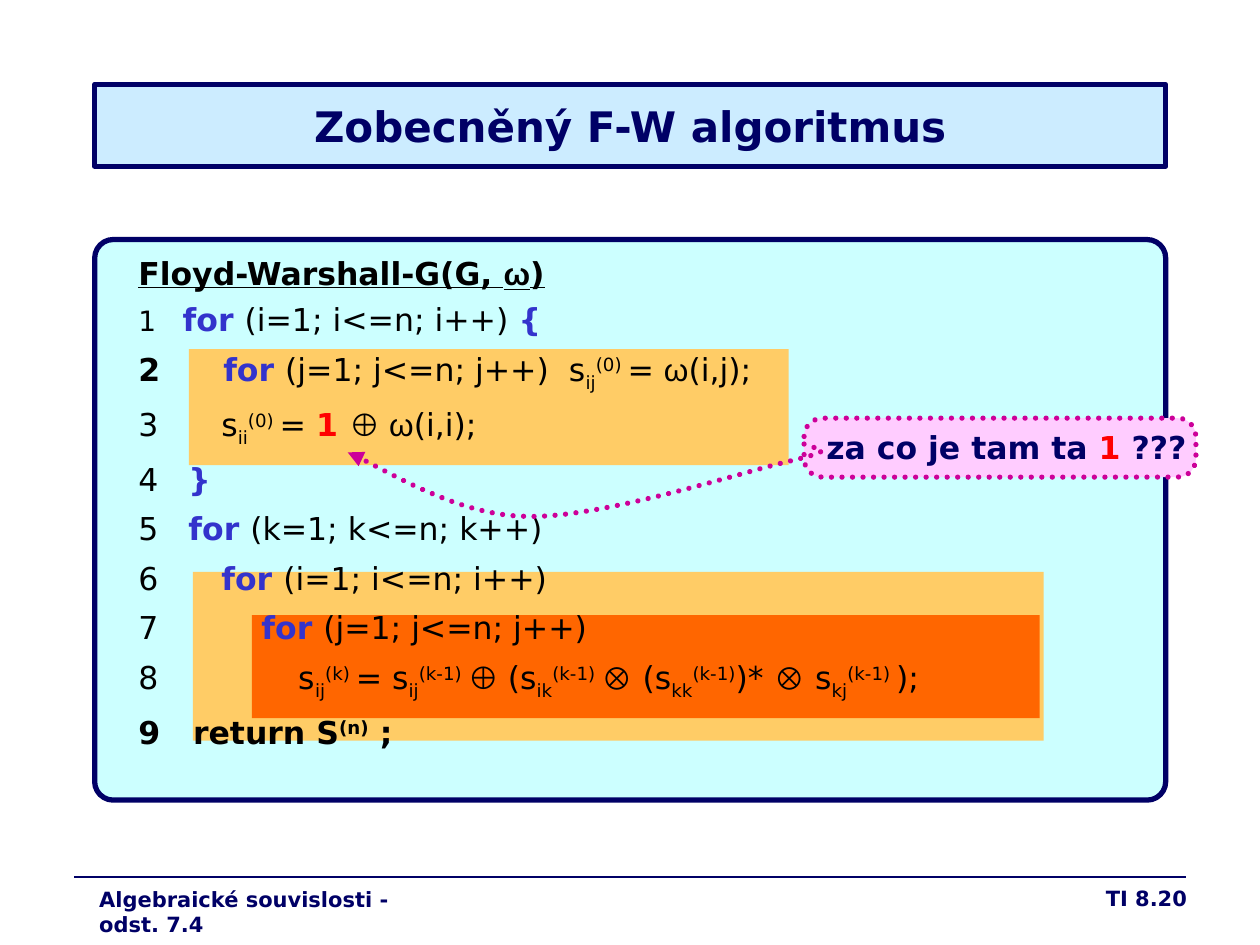
import pptx
import pptx.dml.color
import pptx.enum.dml
import pptx.enum.shapes
import pptx.enum.text
import pptx.oxml
import pptx.oxml.ns
import pptx.util

Cm = pptx.util.Cm
Pt = pptx.util.Pt
SHAPES = pptx.enum.shapes.MSO_SHAPE
ALIGN = pptx.enum.text.PP_ALIGN

FONT = "DejaVu Sans"
SYMBOL_FONT = "Arial"
COLORS = {
    "navy": "000066", "black": "000000", "keyword": "3333CC", "red": "FF0000",
    "title": "CCECFF", "panel": "CCFFFF", "loop": "FFCC66",
    "inner loop": "FF6600", "callout": "FFCCFF", "pink": "CC0099",
}

# Style letters: b bold, u underlined, k keyword, r red, a symbol font,
# s smaller, - subscript, + superscript
HEADING = [("Floyd-Warshall-G(G, ", "bu"), ("ω", "bua"), (")", "bu")]
CODE = [
    [("1   ", "s"), ("for ", "k"), ("(i=1; i<=n; i++) ", ""), ("{", "k")],
    [("  ", "b"), ("for ", "k"), ("(j=1; j<=n; j++)  s", ""), ("ij", "-"),
     ("(0) ", "+"), ("= ", ""), ("ω", "a"), ("(i,j);", "")],
    [("  s", ""), ("ii", "-"), ("(0) ", "+"), ("= ", ""), ("1 ", "r"),
     ("⊕ ", "ba"), ("ω", "a"), ("(i,i);", "")],
    [("4   ", ""), ("}", "k")],
    [("5   ", ""), ("for ", "k"), ("(k=1; k<=n; k++)", "")],
    [("6\t  ", ""), ("for ", "k"), ("(i=1; i<=n; i++)", "")],
    [("7\t      ", ""), ("for ", "k"), ("(j=1; j<=n; j++)", "")],
    [("8              s", ""), ("ij", "-"), ("(k) ", "+"), ("= s", ""),
     ("ij", "-"), ("(k-1) ", "+"), ("⊕ ", "ba"), ("(s", ""), ("ik", "-"),
     ("(k-1) ", "+"), ("⊗", "ba"), (" (s", ""), ("kk", "-"), ("(k-1)", "+"),
     (")* ", ""), ("⊗", "ba"), (" s", ""), ("kj", "-"), ("(k-1) ", "+"),
     (");", "")],
    [("9   return S", "b"), ("(n)", "b+"), (" ;", "b")],
]
AUTO_NUMBERED = (2, 3)

# Callout arrow: start point, then control, control and end of each curve (cm)
ARROW_START = (16.41, 9.02)
ARROW_CURVES = [
    ((16.61, 9.07), (16.79, 9.09), (15.82, 9.32)),
    ((14.86, 9.55), (12.07, 10.46), (10.59, 10.41)),
    ((9.12, 10.39), (7.59, 9.35), (7.01, 9.12)),
]


def rgb(name):
    return pptx.dml.color.RGBColor.from_string(COLORS[name])


def add_xml(parent, tag, **attributes):
    element = pptx.oxml.parse_xml(f"<a:{tag} {pptx.oxml.ns.nsdecls('a')}/>")
    for key, value in attributes.items():
        element.set(key, str(value))
    parent.append(element)
    return element


def style_line(shape, color, width=3, dotted=False):
    shape.line.color.rgb = rgb(color)
    shape.line.width = Pt(width)
    if dotted:
        shape.line.dash_style = pptx.enum.dml.MSO_LINE.ROUND_DOT
        shape.line._get_or_add_ln().set("cap", "rnd")


def style_span(span, size, color="navy", bold=True, font=FONT):
    span.font.name = font
    span.font.size = Pt(size)
    span.font.bold = bold
    span.font.color.rgb = rgb(color)


def place(shape, left, top, width, height):
    shape.left, shape.top = Cm(left), Cm(top)
    shape.width, shape.height = Cm(width), Cm(height)


def add_block(page, kind, bounds, fill, line=None, corner=None, dotted=False):
    block = page.shapes.add_shape(kind, *map(Cm, bounds))
    block.shadow.inherit = False
    block.fill.solid()
    block.fill.fore_color.rgb = rgb(fill)
    if corner is not None:
        block.adjustments[0] = corner
    if line:
        style_line(block, line, dotted=dotted)
    else:
        block.line.fill.background()


def add_text(page, bounds, spans, size, align=ALIGN.LEFT):
    box = page.shapes.add_textbox(*map(Cm, bounds))
    box.text_frame.word_wrap = True
    para = box.text_frame.paragraphs[0]
    para.alignment = align
    for text, color in spans:
        span = para.add_run()
        span.text = text
        style_span(span, size, color)


def format_title(page):
    title = page.shapes.title
    place(title, 1.91, 1.7, 21.59, 1.65)
    title.fill.solid()
    title.fill.fore_color.rgb = rgb("title")
    style_line(title, "navy")
    frame = title.text_frame
    frame.text = "Zobecněný F-W algoritmus"
    frame.vertical_anchor = pptx.enum.text.MSO_ANCHOR.MIDDLE
    frame.paragraphs[0].alignment = ALIGN.CENTER
    style_span(frame.paragraphs[0].runs[0], 24)


def write_code_line(para, spans, space_before=None, number=None):
    para.line_spacing = 1.1
    if space_before:
        para.space_before = Pt(space_before)
    properties = para._p.get_or_add_pPr()
    properties.set("marL", str(Cm(1.27)))
    properties.set("indent", str(-Cm(1.27)))
    if number:
        bullet_color = add_xml(properties, "buClr")
        add_xml(bullet_color, "srgbClr", val=COLORS["black"])
        add_xml(properties, "buAutoNum", type="arabicPlain", startAt=number)
    for text, style in spans:
        span = para.add_run()
        span.text = text
        color = {"k": "keyword", "r": "red"}.get(style, "black")
        style_span(span, 16 if "s" in style else 18, color,
                   bold=any(letter in style for letter in "bkr"),
                   font=SYMBOL_FONT if "a" in style else FONT)
        span.font.underline = "u" in style
        for letter, baseline in (("-", -25000), ("+", 30000)):
            if letter in style:
                span._r.get_or_add_rPr().set("baseline", str(baseline))


def add_code(page):
    box = page.shapes.add_textbox(Cm(2.54), Cm(4.93), Cm(20.96), Cm(10.9))
    frame = box.text_frame
    frame.word_wrap = True
    write_code_line(frame.paragraphs[0], HEADING)
    for number, spans in enumerate(CODE, start=1):
        write_code_line(frame.add_paragraph(), spans,
                        2.2 if number == 1 else 4.5,
                        number if number in AUTO_NUMBERED else None)


def curve_points(start, curves, steps=24):
    for first, second, end in curves:
        for step in range(1, steps + 1):
            t = step / steps
            weights = ((1 - t) ** 3, 3 * t * (1 - t) ** 2,
                       3 * t ** 2 * (1 - t), t ** 3)
            yield tuple(Cm(sum(w * c for w, c in zip(weights, axis)))
                        for axis in zip(start, first, second, end))
        start = end


def add_callout_arrow(page):
    builder = page.shapes.build_freeform(*map(Cm, ARROW_START))
    builder.add_line_segments(curve_points(ARROW_START, ARROW_CURVES),
                              close=False)
    arrow = builder.convert_to_shape()
    arrow.shadow.inherit = False
    arrow.fill.background()
    style_line(arrow, "pink", dotted=True)
    outline = arrow.line._get_or_add_ln()
    add_xml(outline, "round")
    add_xml(outline, "tailEnd", type="triangle")


def add_footer(page):
    rule = page.shapes.add_connector(pptx.enum.shapes.MSO_CONNECTOR.STRAIGHT,
                                     Cm(1.5), Cm(17.68), Cm(23.9), Cm(17.68))
    style_line(rule, "navy", 0.75)
    add_xml(rule._element.spPr, "effectLst")
    add_text(page, (18.9, 17.73, 5.28, 0.91), [("TI 8.20", "navy")], 12,
             ALIGN.RIGHT)
    add_text(page, (1.75, 17.75, 7.49, 0.76),
             [("Algebraické souvislosti - odst. 7.4", "navy")], 12)


def main():
    deck = pptx.Presentation()
    deck.slide_width, deck.slide_height = Cm(25.4), Cm(19.05)
    page = deck.slides.add_slide(deck.slide_layouts[5])
    format_title(page)
    add_footer(page)

    # Code panel with highlighted loops
    add_block(page, SHAPES.ROUNDED_RECTANGLE, (1.91, 4.83, 21.59, 11.3),
              "panel", "navy", 0.033)
    add_block(page, SHAPES.RECTANGLE, (3.89, 11.53, 17.15, 3.4), "loop")
    add_block(page, SHAPES.RECTANGLE, (5.08, 12.4, 15.88, 2.08), "inner loop")
    add_block(page, SHAPES.RECTANGLE, (3.81, 7.04, 12.09, 2.34), "loop")
    add_code(page)

    # Question callout
    add_block(page, SHAPES.ROUNDED_RECTANGLE, (16.21, 8.43, 7.9, 1.19),
              "callout", "pink", 0.311, dotted=True)
    add_text(page, (16.41, 8.51, 8.1, 1.02),
             [("za co je tam ta ", "navy"), ("1", "red"), (" ???", "navy")], 18)
    add_callout_arrow(page)

    deck.save("out.pptx")


if __name__ == "__main__":
    main()
